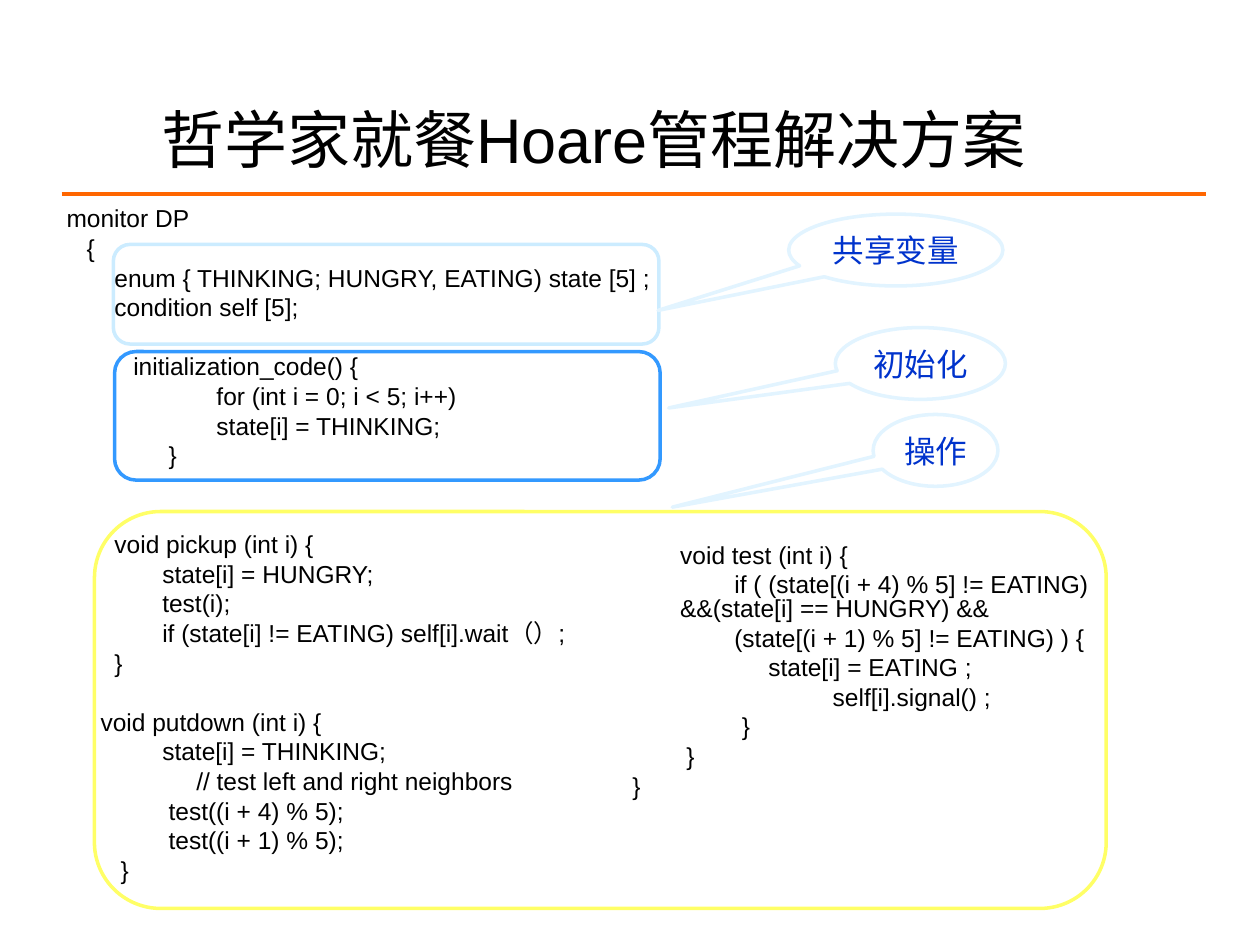
from lxml import etree
from pptx import Presentation
from pptx.dml.color import RGBColor
from pptx.enum.shapes import MSO_CONNECTOR, MSO_SHAPE
from pptx.enum.text import MSO_ANCHOR, PP_ALIGN
from pptx.oxml.ns import qn
from pptx.util import Inches, Pt

ROUNDED = MSO_SHAPE.ROUNDED_RECTANGLE
CALLOUT = MSO_SHAPE.OVAL_CALLOUT
STRAIGHT = MSO_CONNECTOR.STRAIGHT
MIDDLE = MSO_ANCHOR.MIDDLE
CENTER = PP_ALIGN.CENTER

FONT = "Arial"
LINE_GAP = 3.5
BLANK_LINE = 16.9


def color(hex_code):
    """Turn a hex string into a colour."""
    return RGBColor.from_string(hex_code)


def add_outlined(kind, place, outline):
    """Add a white shape with a coloured outline and no shadow."""
    shape = page.shapes.add_shape(kind, *map(Inches, place))
    shape.shadow.inherit = False
    shape.fill.solid()
    shape.fill.fore_color.rgb = color("FFFFFF")
    shape.line.color.rgb = color(outline)
    shape.line.width = Pt(2)
    return shape


deck = Presentation()
deck.slide_width = Inches(10)
deck.slide_height = Inches(7.5)
page = deck.slides.add_slide(deck.slide_layouts[6])

rule = page.shapes.add_connector(
    STRAIGHT, Inches(0.49), Inches(1.54), Inches(9.57), Inches(1.54))
rule.line.color.rgb = color("FF6600")
rule.line.width = Pt(2.25)
etree.SubElement(rule._element.spPr, qn("a:effectLst"))

for place, outline in [
    ((0.75, 4.06, 8.03, 3.15), "FFFF66"),
    ((0.91, 2.79, 4.33, 1.02), "3399FF"),
    ((0.9, 1.94, 4.33, 0.79), "CCECFF"),
]:
    add_outlined(ROUNDED, place, outline)

# Each code line: left margin, first-line indent, blank lines above, text
monitor_code = [
    (0, 0, 0, "monitor DP"),
    (0.16, 0, 0, "{"),
    (0.38, 0, 0, "enum { THINKING; HUNGRY, EATING) state [5] ;"),
    (0.38, 0, 0, "condition self [5];"),
    (0.53, 0, 1, "initialization_code() {"),
    (1.19, 0, 0, "for (int i = 0; i < 5; i++)"),
    (1.19, 0, 0, "state[i] = THINKING;"),
    (0.81, 0, 0, "}"),
    (0.38, 0, 2, "void pickup (int i) {"),
    (0.76, 0, 0, "state[i] = HUNGRY;"),
    (0.76, 0, 0, "test(i);"),
    (0.76, 0, 0, "if (state[i] != EATING) self[i].wait（）;"),
    (0.38, 0, 0, "}"),
    (0.27, 0, 1, "void putdown (int i) {"),
    (0.76, 0, 0, "state[i] = THINKING;"),
    (1.03, 0, 0, "// test left and right neighbors"),
    (0.81, 0, 0, "test((i + 4) % 5);"),
    (0.81, 0, 0, "test((i + 1) % 5);"),
    (0.43, 0, 0, "}"),
]
test_code = [
    (0.38, 0, 0, "void test (int i) {"),
    (0.38, 0.43, 0,
     "if ( (state[(i + 4) % 5] != EATING)\v&&(state[i] == HUNGRY) &&"),
    (0.81, 0, 0, "(state[(i + 1) % 5] != EATING) ) {"),
    (1.08, 0, 0, "state[i] = EATING ;"),
    (1.59, 0, 0, "self[i].signal() ;"),
    (0.87, 0, 0, "}"),
    (0.43, 0, 0, "}"),
    (0, 0, 0, "}"),
]
for place, code in [
    ((0.43, 1.61, 6.93, 5.89), monitor_code),
    ((4.92, 4.28, 4.6, 3.2), test_code),
]:
    box = page.shapes.add_textbox(*map(Inches, place))
    frame = box.text_frame
    frame.word_wrap = True
    for number, (margin, indent, blanks, text) in enumerate(code):
        para = frame.add_paragraph() if number else frame.paragraphs[0]
        para.text = text
        para.line_spacing = 0.8
        para.space_before = Pt(LINE_GAP + blanks * BLANK_LINE)
        para.font.name = FONT
        para.font.size = Pt(14)
        para.font.color.rgb = color("000000")
        properties = para._p.get_or_add_pPr()
        properties.set("marL", str(Inches(margin)))
        properties.set("indent", str(Inches(indent)))

title = page.shapes.add_textbox(
    Inches(1.18), Inches(0.76), Inches(8.83), Inches(0.67))
title.text_frame.word_wrap = True
title.text_frame.vertical_anchor = MIDDLE
heading = title.text_frame.paragraphs[0]
heading.text = "哲学家就餐Hoare管程解决方案"
heading.font.name = FONT
heading.font.size = Pt(36)
heading.font.color.rgb = color("000000")

for place, pointer, label in [
    ((6.26, 1.7, 1.7, 0.57), (-1.11, 0.84), "共享变量"),
    ((6.63, 2.6, 1.35, 0.57), (-1.48, 0.62), "初始化"),
    ((6.93, 3.29, 0.99, 0.57), (-2.11, 0.79), "操作"),
]:
    callout = add_outlined(CALLOUT, place, "E2F4FF")
    callout.adjustments[0], callout.adjustments[1] = pointer
    callout.text_frame.word_wrap = False
    callout.text_frame.vertical_anchor = MIDDLE
    para = callout.text_frame.paragraphs[0]
    para.text = label
    para.alignment = CENTER
    para.font.name = FONT
    para.font.size = Pt(18)
    para.font.color.rgb = color("0033CC")

deck.save("out.pptx")
